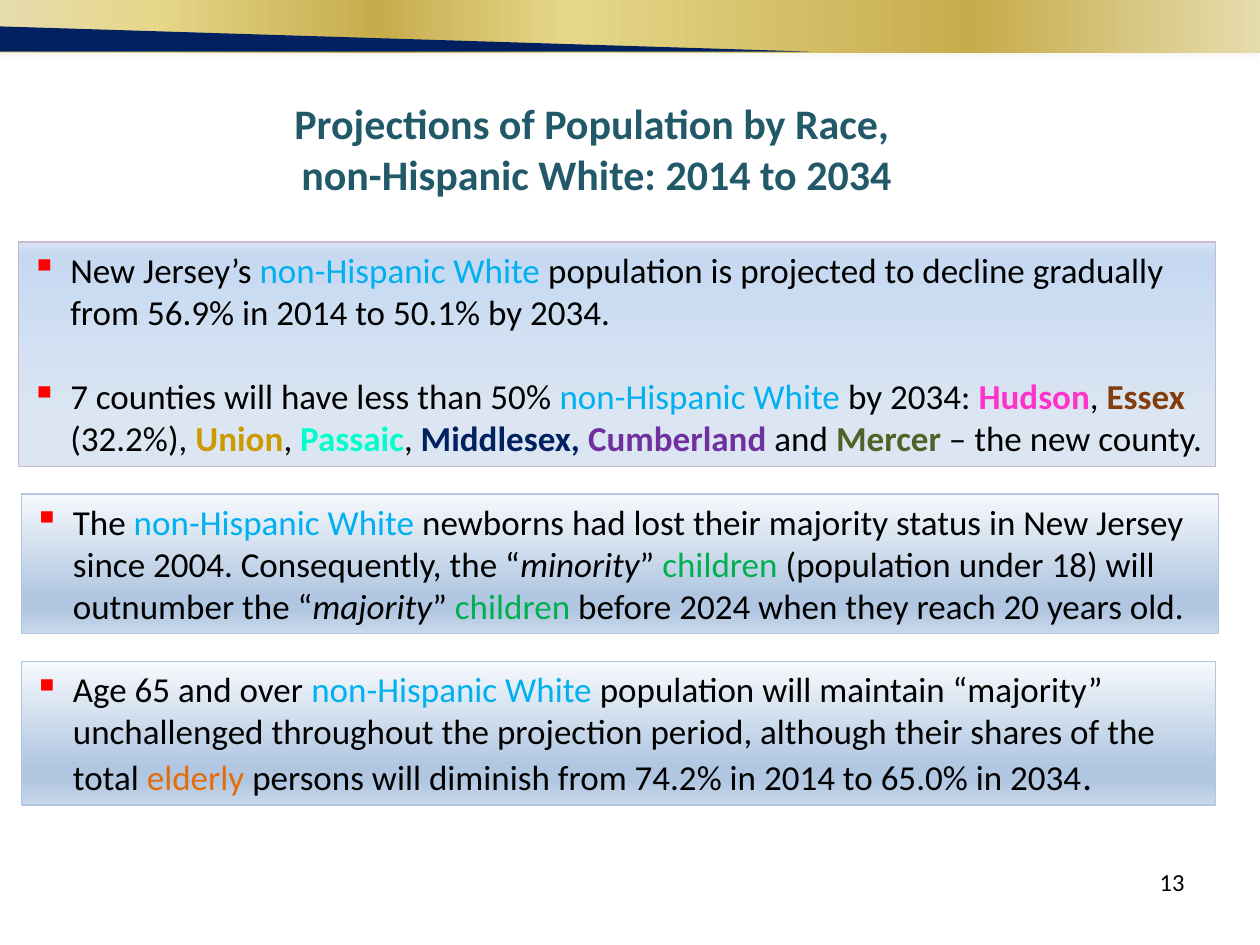
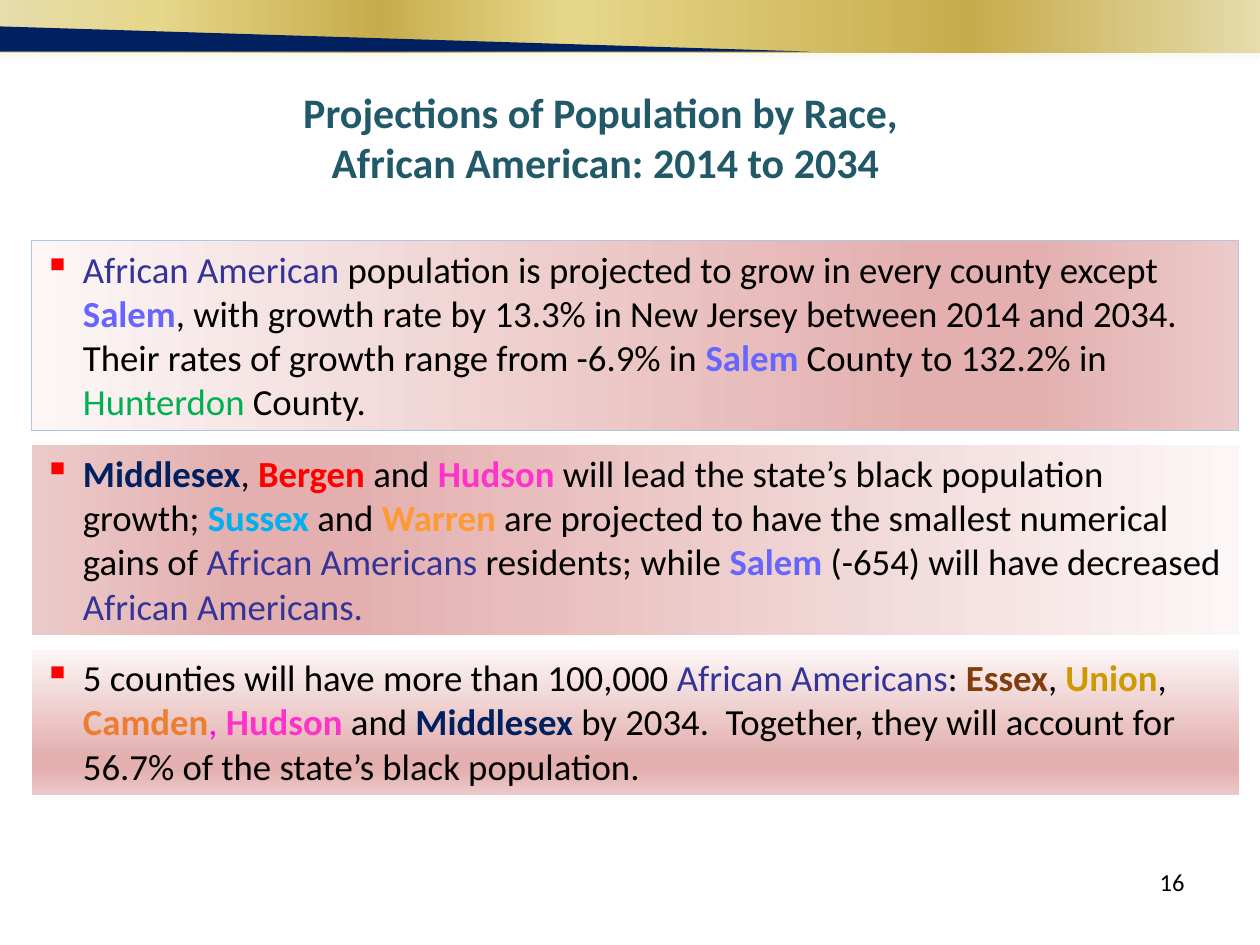
from typing import NamedTuple

from lxml.etree import SubElement
from pptx import Presentation
from pptx.dml.color import RGBColor
from pptx.enum.shapes import MSO_SHAPE
from pptx.enum.text import MSO_ANCHOR, MSO_AUTO_SIZE, PP_ALIGN
from pptx.oxml.ns import qn
from pptx.util import Inches, Pt

RECT = MSO_SHAPE.RECTANGLE
TOP = MSO_ANCHOR.TOP
CENTER, RIGHT = PP_ALIGN.CENTER, PP_ALIGN.RIGHT
FIXED = MSO_AUTO_SIZE.NONE
FONT = "Calibri"
TITLE_ONLY = 5
INDENT = Inches(0.31)

HEX = {
    "black": "000000", "teal": "215968", "navy": "002060", "red": "FF0000",
    "sky": "00B0F0", "pink": "FF33CC", "brown": "833C0C", "gold": "CC9900",
    "aqua": "00FFCC", "purple": "7030A0", "olive": "4F6228", "green": "00B050",
    "rust": "E46C0A", "indigo": "333399", "violet": "6666FF", "amber": "FF9933",
    "orange": "ED7D31", "magenta": "FF00FF", "lilac": "C6B9D5", "steel": "B0C6E1",
    "cream": "EEECE1", "white": "FFFFFF", "sand": "E6DCAC", "straw": "E6D78A",
    "brass": "C7AC4C", "ice": "DCE6F2", "powder": "C6D9F1", "frost": "F6F9FC",
    "mist": "CAD9EB", "blush": "FCF6F6", "rose": "E3B0AF", "shell": "ECCACA",
}

# Gradients: percent and colour of each stop
SHADE = [(0, "cream"), (100, "white")]
BRASS = [(0, "sand"), (12, "straw"), (30, "brass"), (45, "straw"), (77, "brass"), (100, "sand")]
PALE = [(0, "ice"), (5, "powder"), (82, "ice")]
BLUE = [(0, "frost"), (74, "steel"), (83, "steel"), (100, "mist")]
ROSE = [(0, "blush"), (74, "rose"), (83, "rose"), (100, "shell")]


class Look(NamedTuple):
    color: str = "black"
    bold: bool = False
    italic: bool = False
    grow: int = 0


class Box(NamedTuple):
    height: float
    stops: list
    angle: int
    line: str
    points: list
    left: float
    width: float


class Page(NamedTuple):
    number: str
    title: list
    left: float
    top: float
    size: int
    start: float
    gap: float
    boxes: list


# How each phrase marked off by bars looks
LOOKS = {
    "non-Hispanic White": Look("sky"),
    "African American": Look("indigo"),
    "African Americans": Look("indigo"),
    "African Americans.": Look("indigo"),
    "children": Look("green"),
    "elderly": Look("rust"),
    "minority": Look(italic=True),
    "majority": Look(italic=True),
    "Hunterdon": Look("green"),
    ", ": Look("magenta"),
    ".": Look(grow=2),
}
COUNTIES = {
    "Hudson": "pink", "Essex": "brown", "Union": "gold", "Passaic": "aqua",
    "Middlesex": "navy", "Middlesex,": "navy", "Cumberland": "purple",
    "Mercer": "olive", "Salem": "violet", "Bergen": "red", "Sussex": "sky",
    "Warren": "amber", "Camden": "orange",
}
LOOKS.update({name: Look(color, bold=True) for name, color in COUNTIES.items()})

PAGES = [
    Page("13", ["Projections of Population by Race, ", "non-Hispanic White: 2014 to 2034"],
         1.11, 0.72, 20, 1.92, 0.22, [
        Box(1.78, PALE, 90, "lilac", [
            "New Jersey’s |non-Hispanic White| population is projected to decline "
            "gradually from 56.9% in 2014 to 50.1% by 2034.",
            "7 counties will have less than 50% |non-Hispanic White| by 2034: |Hudson|, "
            "|Essex| (32.2%), |Union|, |Passaic|, |Middlesex,| |Cumberland| and |Mercer| "
            "– the new county."], 0.15, 9.5),
        Box(1.11, BLUE, 90, "steel", [
            "The |non-Hispanic White| newborns had lost their majority status in New Jersey "
            "since 2004. Consequently, the “|minority|” |children| (population under 18) will "
            "outnumber the “|majority|” |children| before 2024 when they reach 20 years old."],
            0.17, 9.5),
        Box(1.14, BLUE, 90, "steel", [
            "Age 65 and over |non-Hispanic White| population will maintain “majority” "
            "unchallenged throughout the projection period, although their shares of the "
            "total |elderly| persons will diminish from 74.2% in 2014 to 65.0% in 2034|.|"],
            0.17, 9.48),
    ]),
    Page("16", ["Projections of Population by Race, ", "African American: 2014 to 2034"],
         1.18, 0.63, 21, 1.91, 0.11, [
        Box(1.51, ROSE, 0, "steel", [
            "|African American| population is projected to grow in every county except "
            "|Salem|, with growth rate by 13.3% in New Jersey between 2014 and 2034.  Their "
            "rates of growth range from -6.9% in |Salem| County to 132.2% in |Hunterdon| "
            "County."], 0.25, 9.58),
        Box(1.51, ROSE, 180, "", [
            "|Middlesex|, |Bergen| and |Hudson| will lead the state’s black population "
            "growth; |Sussex| and |Warren| are projected to have the smallest numerical "
            "gains of |African Americans| residents; while |Salem| (-654) will have "
            "decreased |African Americans.|"], 0.25, 9.58),
        Box(1.16, ROSE, 90, "", [
            "5 counties will have more than 100,000 |African Americans|: |Essex|, |Union|, "
            "|Camden||, ||Hudson| and |Middlesex| by 2034.  Together, they will account for "
            "56.7% of the state’s black population."], 0.25, 9.58),
    ]),
]


def paint(name: str) -> RGBColor:
    return RGBColor.from_string(HEX[name])


def add_run(para, words: str, size: int, look: Look) -> None:
    run = para.add_run()
    run.text = words
    form = {"name": FONT, "size": Pt(size + look.grow), "bold": look.bold, "italic": look.italic}
    for key, value in form.items():
        setattr(run.font, key, value)
    run.font.color.rgb = paint(look.color)


def add_paras(frame, count: int) -> list:
    return [frame.paragraphs[0]] + [frame.add_paragraph() for _ in range(count - 1)]


def add_rect(slide, left: float, top: float, width: float, height: float,
             stops: list, angle: int, line: str = ""):
    """Draw a gradient rectangle; the angle runs clockwise."""
    rect = slide.shapes.add_shape(RECT, Inches(left), Inches(top), Inches(width), Inches(height))
    rect.shadow.inherit = False
    rect.fill.gradient()
    rect.fill.gradient_angle = (360 - angle) % 360
    marks = rect._element.spPr.find(".//" + qn("a:gsLst"))
    marks.clear()
    for place, color in stops:
        mark = SubElement(marks, qn("a:gs"), pos=str(place * 1000))
        SubElement(mark, qn("a:srgbClr"), val=HEX[color])
    if line:
        rect.line.color.rgb = paint(line)
        rect.line.width = Pt(0.75)
    else:
        rect.line.fill.background()
    return rect


def add_band(slide) -> None:
    add_rect(slide, 0, 0.33, 9.99, 0.17, SHADE, 90)
    add_rect(slide, 0, 0, 10.01, 0.42, BRASS, 0)
    pen = slide.shapes.build_freeform(Inches(0), Inches(0.41))
    pen.add_line_segments([(Inches(x), Inches(y)) for x, y in [(6.43, 0.41), (0, 0.21)]])
    wedge = pen.convert_to_shape()
    wedge.shadow.inherit = False
    wedge.fill.solid()
    wedge.fill.fore_color.rgb = paint("navy")
    wedge.line.fill.background()


def add_title(slide, page: Page) -> None:
    title = slide.shapes.title
    spot = {"left": page.left, "top": page.top, "width": 7.25, "height": 0.91}
    for key, value in spot.items():
        setattr(title, key, Inches(value))
    frame = title.text_frame
    frame.auto_size = FIXED
    for para, words in zip(add_paras(frame, len(page.title)), page.title):
        para.alignment = CENTER
        add_run(para, words, 24, Look("teal", bold=True))


def add_number(slide, number: str) -> None:
    box = slide.shapes.add_textbox(Inches(7.17), Inches(6.83), Inches(2.33), Inches(0.52))
    box.text_frame.word_wrap = True
    para = box.text_frame.paragraphs[0]
    para.alignment = RIGHT
    add_run(para, number, 14, Look())


def add_bullet(para) -> None:
    props = para._p.get_or_add_pPr()
    props.set("marL", str(INDENT))
    props.set("indent", str(-INDENT))
    props.set("algn", "l")
    tint = SubElement(props, qn("a:buClr"))
    SubElement(tint, qn("a:srgbClr"), val=HEX["red"])
    SubElement(props, qn("a:buChar"), char="▪")


def add_box(slide, box: Box, top: float, size: int) -> None:
    rect = add_rect(slide, box.left, top, box.width, box.height, box.stops, box.angle, box.line)
    frame = rect.text_frame
    frame.word_wrap = True
    frame.vertical_anchor = TOP
    paras = add_paras(frame, len(box.points))
    for para, point in zip(paras, box.points):
        add_bullet(para)
        for i, words in enumerate(point.split("|")):
            if words:
                add_run(para, words, size, LOOKS[words] if i % 2 else Look())
    for para in paras[1:]:
        para.space_before = Pt(size * 1.22)


def add_page(deck, page: Page) -> None:
    slide = deck.slides.add_slide(deck.slide_layouts[TITLE_ONLY])
    add_band(slide)
    add_number(slide, page.number)
    add_title(slide, page)
    top = page.start
    for box in page.boxes:
        add_box(slide, box, top, page.size)
        top += box.height + page.gap


def main() -> None:
    deck = Presentation()
    deck.slide_width, deck.slide_height = Inches(10), Inches(7.5)
    for page in PAGES:
        add_page(deck, page)
    deck.save("out.pptx")


if __name__ == "__main__":
    main()
